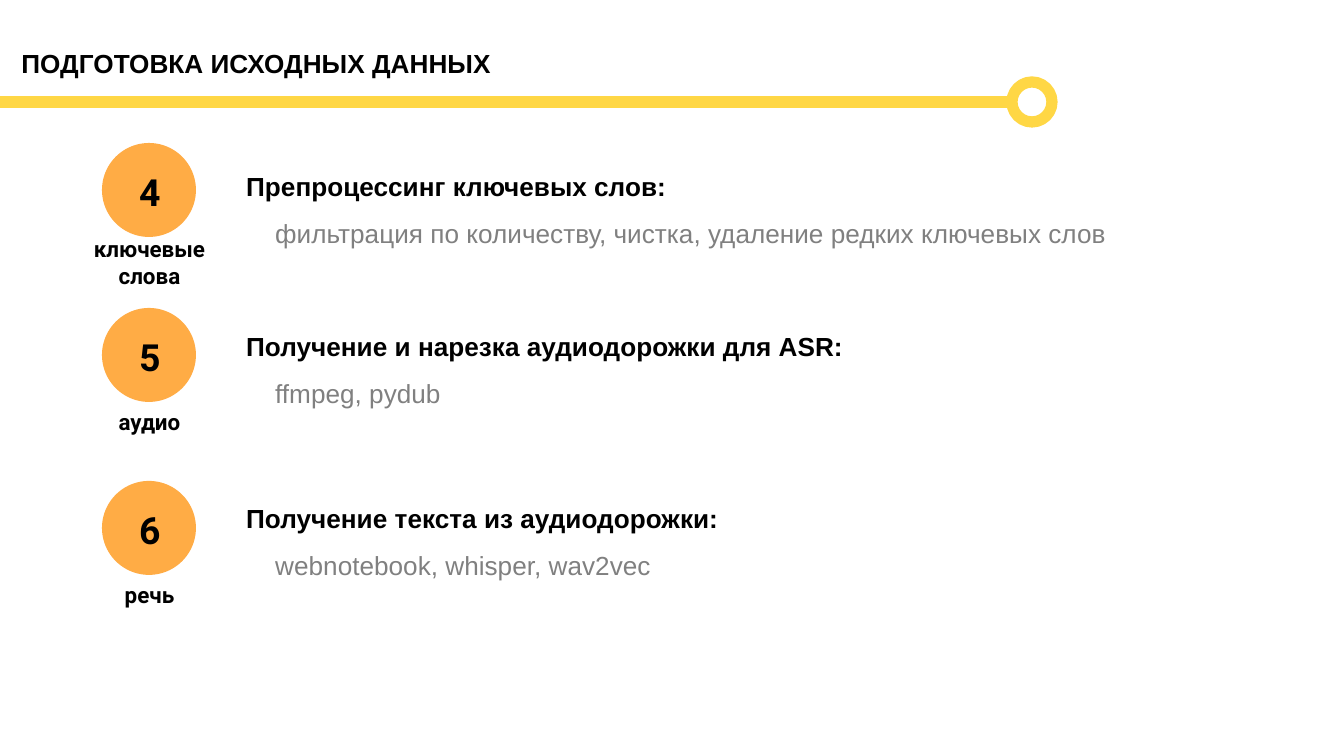
from pptx import Presentation
from pptx.dml.color import RGBColor
from pptx.enum.shapes import MSO_CONNECTOR, MSO_SHAPE
from pptx.enum.text import MSO_ANCHOR, PP_ALIGN
from pptx.oxml.ns import qn
from pptx.util import Emu, Pt
from lxml.etree import SubElement

# Content: tops are the circle, the caption and the text block
TITLE = "ПОДГОТОВКА ИСХОДНЫХ ДАННЫХ"
STEPS = [
    dict(num="4", label="ключевые слова", head="Препроцессинг ключевых слов:",
         note="фильтрация по количеству, чистка, удаление редких ключевых слов",
         tops=(143, 229, 148)),
    dict(num="5", label="аудио", head="Получение и нарезка аудиодорожки для ASR:",
         note="ffmpeg, pydub", tops=(308, 402, 308)),
    dict(num="6", label="речь", head="Получение текста из аудиодорожки:",
         note="webnotebook, whisper, wav2vec", tops=(481, 575, 480)),
]
THEME = dict(
    yellow=RGBColor(0xFF, 0xD7, 0x45), orange=RGBColor(0xFF, 0xAC, 0x45),
    black=RGBColor(0, 0, 0), gray=RGBColor(0x80, 0x80, 0x80),
    main="Arial", side="Roboto", text=14, label=12, num=20, rule=6,
)
SCALE = 914400 / 134.4
DISC = 94


def px(*vals):
    return [Emu(round(v * SCALE)) for v in vals]


def style(para, face, size, color, bold=True):
    for run in para.runs:
        font = run.font
        font.name, font.size, font.bold = face, Pt(size), bold
        font.color.rgb = color


def add_text(box, lines):
    area = slide.shapes.add_textbox(*px(*box)).text_frame
    area.word_wrap = True
    area.text = "\n".join(lines)
    return area.paragraphs


def add_disc(kind, box):
    disc = slide.shapes.add_shape(kind, *px(*box))
    disc.shadow.inherit = False
    return disc


deck = Presentation()
deck.slide_width, deck.slide_height = px(1344, 756)
slide = deck.slides.add_slide(deck.slide_layouts[5])

# Title
title = slide.shapes.title
title.left, title.top, title.width, title.height = px(8, 38, 993, 54)
frame = title.text_frame
frame.text = TITLE
frame.vertical_anchor = MSO_ANCHOR.TOP
frame.margin_top = px(9)[0]
frame.paragraphs[0].alignment = PP_ALIGN.LEFT
style(frame.paragraphs[0], THEME["main"], THEME["text"], THEME["black"])

# Rule with a ring at its end
ring = add_disc(MSO_SHAPE.OVAL, (1012, 82, 40, 40))
ring.fill.background()
rule = slide.shapes.add_connector(MSO_CONNECTOR.STRAIGHT, *px(-4, 102, 1012, 102))
SubElement(rule._element.spPr, qn("a:effectLst"))
for part in (ring, rule):
    part.line.color.rgb = THEME["yellow"]
    part.line.width = Pt(THEME["rule"])

# Numbered steps
for step in STEPS:
    top, low, side = step["tops"]
    disc = add_disc(MSO_SHAPE.FLOWCHART_CONNECTOR, (102, top, DISC, DISC))
    disc.fill.solid()
    disc.fill.fore_color.rgb = THEME["orange"]
    disc.line.fill.background()

    label = add_text((71, low, 157, 67), [step["label"]])[0]
    label.alignment = PP_ALIGN.CENTER
    style(label, THEME["side"], THEME["label"], THEME["black"])

    num = add_text((126, top + 20, 55, 67), [step["num"]])[0]
    num.alignment = PP_ALIGN.JUSTIFY
    num.space_after = Pt(8)
    style(num, THEME["side"], THEME["num"], THEME["black"])

    head, note = add_text((233, side, 993, 172), [step["head"], step["note"]])
    head.line_spacing = note.line_spacing = 1.5
    note._p.get_or_add_pPr().set("marL", str(px(29)[0]))
    style(head, THEME["main"], THEME["text"], THEME["black"])
    style(note, THEME["main"], THEME["text"], THEME["gray"], False)

deck.save("out.pptx")
